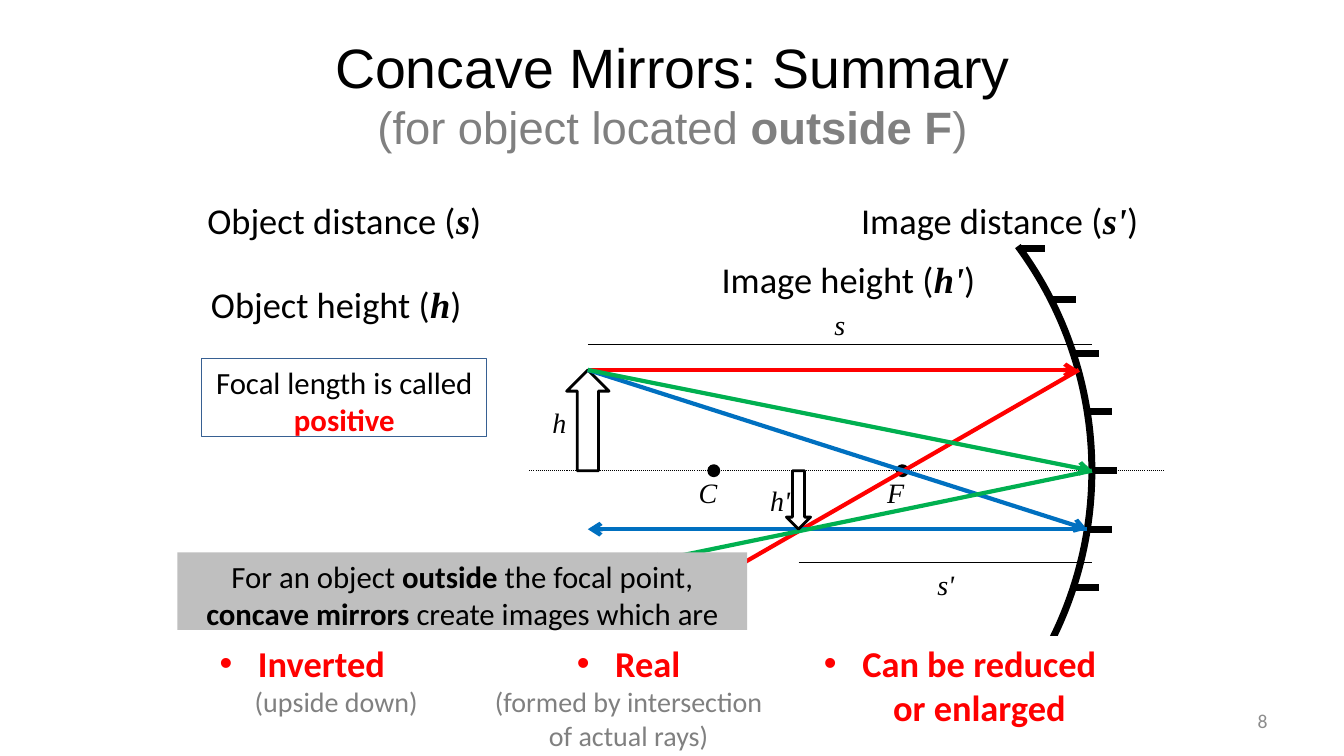
from math import cos, radians, sin

from lxml.etree import SubElement
from pptx import Presentation
from pptx.dml.color import RGBColor
from pptx.enum.dml import MSO_LINE_DASH_STYLE as Dash
from pptx.enum.shapes import MSO_CONNECTOR, MSO_SHAPE as Shape
from pptx.enum.text import MSO_ANCHOR as Anchor, PP_ALIGN as Align
from pptx.oxml.ns import qn
from pptx.util import Inches, Pt

BLACK = RGBColor(0x00, 0x00, 0x00)
WHITE = RGBColor(0xFF, 0xFF, 0xFF)
RED = RGBColor(0xFF, 0x00, 0x00)
BLUE = RGBColor(0x00, 0x70, 0xC0)
GREEN = RGBColor(0x00, 0xB0, 0x50)
GRAY = RGBColor(0x80, 0x80, 0x80)
PALE_GRAY = RGBColor(0xBF, 0xBF, 0xBF)
NUMBER_GRAY = RGBColor(0x8C, 0x8C, 0x8C)
FRAME_BLUE = RGBColor(0x37, 0x60, 0x92)

BODY_FONT, TITLE_FONT, SYMBOL_FONT = "Calibri", "Arial", "Times New Roman"
SYMBOL = {"font": SYMBOL_FONT, "bold": True, "italic": True}

# Optical geometry, in inches
AXIS_Y = 4.67
RADIUS = 3.75
CENTER_X = 7.08
VERTEX_X = CENTER_X + RADIUS
OBJECT_X, OBJECT_Y = 5.83, 3.67
IMAGE_X, IMAGE_Y = 7.92, 5.25


def add_run(paragraph, text, size=20, color=BLACK, font=BODY_FONT,
            bold=False, italic=False):
    run = paragraph.add_run()
    run.text = text
    run.font.size = Pt(size)
    run.font.color.rgb = color
    run.font.name = font
    run.font.bold = bold
    run.font.italic = italic


class Board:
    """Draws styled elements on one slide."""

    def __init__(self, slide):
        self.shapes = slide.shapes

    def line(self, start, end, color=BLACK, width=0.75, dash=None, arrow=False):
        connector = self.shapes.add_connector(
            MSO_CONNECTOR.STRAIGHT, *map(Inches, (*start, *end)))
        connector.line.color.rgb = color
        connector.line.width = Pt(width)
        if dash:
            connector.line.dash_style = dash
        if arrow:
            SubElement(connector.line._get_or_add_ln(), qn("a:tailEnd"), type="arrow")
        SubElement(connector._element.spPr, qn("a:effectLst"))

    def ray(self, start, end, color):
        self.line(start, end, color, 3, arrow=True)

    def shape(self, kind, box, fill=None, line=None, width=2):
        shape = self.shapes.add_shape(kind, *map(Inches, box))
        shape.shadow.inherit = False
        if fill is None:
            shape.fill.background()
        else:
            shape.fill.solid()
            shape.fill.fore_color.rgb = fill
        if line is None:
            shape.line.fill.background()
        else:
            shape.line.color.rgb = line
            shape.line.width = Pt(width)
        return shape

    def text(self, box, *paragraphs, align=Align.CENTER, anchor=Anchor.TOP, shape=None):
        """Each paragraph is a list of (text, format) runs; fills shape or a new box."""
        shape = shape or self.shapes.add_textbox(*map(Inches, box))
        frame = shape.text_frame
        frame.word_wrap = True
        frame.vertical_anchor = anchor
        for index, runs in enumerate(paragraphs):
            paragraph = frame.add_paragraph() if index else frame.paragraphs[0]
            paragraph.alignment = align
            for text, style in runs:
                if text == "\n":
                    paragraph.add_line_break()
                else:
                    add_run(paragraph, text, **style)
        return frame

    def panel(self, box, *paragraphs, fill=None, line=None):
        rectangle = self.shape(Shape.RECTANGLE, box, fill, line, 0.75)
        return self.text(box, *paragraphs, shape=rectangle)

    def quantity(self, left, top, name, symbol):
        plain = {"size": 26}
        self.text((left, top, 3.17, 0.51), [
            (f"{name} (", plain), (symbol, {**plain, **SYMBOL}), (")", plain)])

    def label(self, left, top, symbol, width=0.25, align=Align.LEFT):
        style = {"font": SYMBOL_FONT, "italic": True}
        self.text((left, top, width, 0.4), [(symbol, style)], align=align)

    def property(self, box, name, detail=None, fill=None, align=Align.CENTER):
        """A red bulleted property with an optional gray explanation."""
        paragraphs = [[(name, {"size": 26, "color": RED, "bold": True})]]
        if detail:
            paragraphs.append([(detail, {"color": GRAY})])
        frame = self.panel(box, *paragraphs, fill=fill)
        heading = frame.paragraphs[0]
        heading.alignment = align
        properties = heading._p.get_or_add_pPr()
        properties.set("marL", str(Inches(0.38)))
        properties.set("indent", str(-Inches(0.38)))
        SubElement(properties, qn("a:buFont"), typeface="Arial")
        SubElement(properties, qn("a:buChar"), char="•")


def draw_mirror(board):
    board.line((5.25, AXIS_Y), (11.54, AXIS_Y), dash=Dash.ROUND_DOT)
    board.line((IMAGE_X, 5.58), (VERTEX_X, 5.58))
    for angle in range(-36, 19, 9):
        x = CENTER_X + RADIUS * cos(radians(angle))
        y = AXIS_Y + RADIUS * sin(radians(angle))
        board.line((x, y), (x + 0.25, y), width=5)
    mirror = board.shape(
        Shape.ARC, (CENTER_X - RADIUS, AXIS_Y - RADIUS, 2 * RADIUS, 2 * RADIUS),
        line=BLACK, width=5)
    mirror.adjustments[0] = 194.13
    mirror.adjustments[1] = 21.85
    for x in (CENTER_X, 8.95):
        board.shape(Shape.OVAL, (x - 0.05, AXIS_Y - 0.05, 0.1, 0.1), BLACK, BLACK)


def draw_rays(board):
    tip, image_tip = (OBJECT_X, OBJECT_Y), (10.78, IMAGE_Y)
    vertex = (VERTEX_X, AXIS_Y)
    object_arrow = board.shape(Shape.DOWN_ARROW, (5.62, OBJECT_Y, 0.42, 1), line=BLACK)
    object_arrow.rotation = 180
    board.ray(tip, (10.69, OBJECT_Y), RED)
    board.ray((10.7, OBJECT_Y), (6.67, 5.99), RED)
    board.label(6.83, AXIS_Y, "C")
    board.label(8.7, AXIS_Y, "F")
    board.label(5.38, 3.97, "h")
    board.ray(tip, image_tip, BLUE)
    board.ray(image_tip, (OBJECT_X, IMAGE_Y), BLUE)
    board.ray(tip, vertex, GREEN)
    board.ray(vertex, (6.42, 5.58), GREEN)
    board.shape(Shape.DOWN_ARROW, (7.8, AXIS_Y, 0.24, 0.58), line=BLACK)
    board.label(7.54, 4.75, "h'", 0.42)
    board.label(9.17, 5.58, "s'", 0.42, Align.CENTER)
    board.line((OBJECT_X, 3.42), (VERTEX_X, 3.42))
    board.label(8.12, 3, "s", 0.42, Align.CENTER)


def draw_summary(board):
    plain = {"size": 22}
    strong = {"size": 22, "bold": True}
    board.panel((1.76, 5.48, 5.65, 0.77), [
        ("For an object ", plain), ("outside", strong), (" the focal point, ", plain),
        ("concave mirrors ", strong), ("create images which are", plain)], fill=PALE_GRAY)
    board.property((2.08, 6.31, 2.51, 0.81), "Inverted", "(upside down)", align=Align.LEFT)
    board.property((4.68, 6.31, 3.11, 1.11), "Real",
                   "(formed by intersection of actual rays)", WHITE)
    board.panel((2, 3.56, 2.83, 0.77), [
        ("Focal length is called ", plain), ("positive", {**strong, "color": RED})],
        line=FRAME_BLUE)
    board.text((9.56, 6.95, 3.11, 0.4), [("8", {"size": 14, "color": NUMBER_GRAY})],
               align=Align.RIGHT, anchor=Anchor.MIDDLE)
    board.property((7.97, 6.31, 3.11, 0.91), "Can be reduced or enlarged", fill=WHITE)


def main():
    presentation = Presentation()
    presentation.slide_width = Inches(13.33)
    presentation.slide_height = Inches(7.5)
    board = Board(presentation.slides.add_slide(presentation.slide_layouts[6]))

    subtitle = {"size": 32.4, "color": GRAY, "font": TITLE_FONT}
    board.text((0.67, 0.3, 12, 1.25), [
        ("Concave Mirrors: Summary", {"size": 39.6, "font": TITLE_FONT}), ("\n", {}),
        ("(for object located ", subtitle), ("outside F", {**subtitle, "bold": True}),
        (")", subtitle)], anchor=Anchor.MIDDLE)
    board.quantity(1.75, 2.75, "Object height", "h")
    board.quantity(8.33, 1.92, "Image distance", "s'")
    board.quantity(1.83, 1.92, "Object distance", "s")
    draw_mirror(board)
    draw_rays(board)
    board.quantity(6.83, 2.5, "Image height", "h'")
    draw_summary(board)
    presentation.save("out.pptx")


if __name__ == "__main__":
    main()
